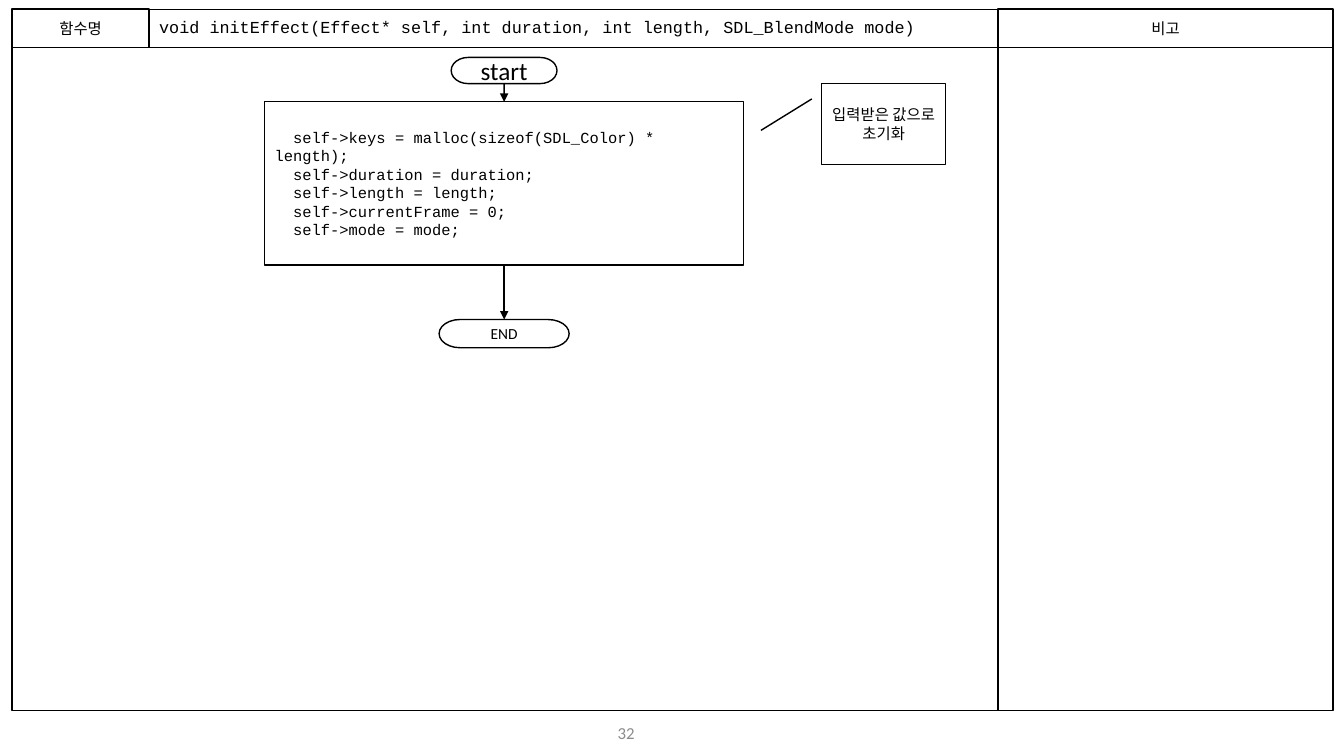
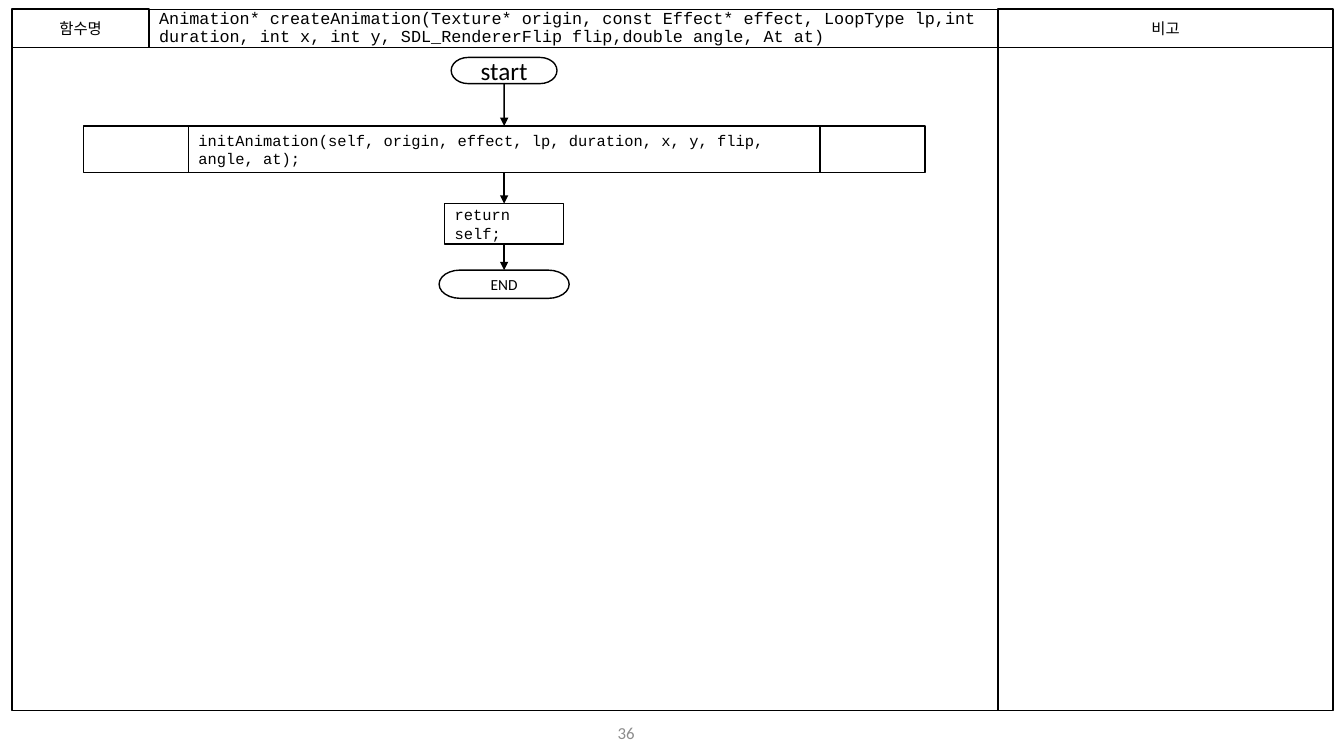
from pptx import Presentation
from pptx.dml.color import RGBColor
from pptx.enum.shapes import MSO_CONNECTOR, MSO_SHAPE
from pptx.enum.text import MSO_ANCHOR, PP_ALIGN
from pptx.oxml.ns import qn
from pptx.util import Inches, Pt
from lxml.etree import SubElement

BLACK = RGBColor(0x00, 0x00, 0x00)
WHITE = RGBColor(0xFF, 0xFF, 0xFF)
GREY = RGBColor(0x8C, 0x8C, 0x8C)
LABEL_FONT = "Calibri"
CODE_FONT = "Courier New"

FRAME_LEFT, HEADER_TOP, HEADER_HEIGHT, BODY_HEIGHT = 0.12, 0.09, 0.38, 6.58
NAME_WIDTH, TITLE_WIDTH, NOTE_WIDTH = 1.36, 8.42, 3.32
FLOW_AXIS = 5.0

STYLES = {
    "start": (MSO_SHAPE.FLOWCHART_TERMINATOR, LABEL_FONT, 18, PP_ALIGN.CENTER),
    "end": (MSO_SHAPE.FLOWCHART_TERMINATOR, LABEL_FONT, 11, PP_ALIGN.CENTER),
    "code": (MSO_SHAPE.RECTANGLE, CODE_FONT, 11, PP_ALIGN.LEFT),
    "call": (MSO_SHAPE.FLOWCHART_PREDEFINED_PROCESS, CODE_FONT, 11, PP_ALIGN.LEFT),
}

START = ("start", 0.57, 1.05, 0.26, ["start"])

PAGES = [
    {
        "title": "void initEffect(Effect* self, int duration, int length, SDL_BlendMode mode)",
        "number": "32",
        "steps": [
            START,
            ("code", 1.01, 4.75, 1.62, [
                "  self->keys = malloc(sizeof(SDL_Color) * length);",
                "  self->duration = duration;",
                "  self->length = length;",
                "  self->currentFrame = 0;",
                "  self->mode = mode;",
            ]),
            ("end", 3.17, 1.29, 0.28, ["END"]),
        ],
        "callouts": [
            ((8.15, 0.83, 1.23, 0.8), (0.19, -0.08, 0.58, -0.49), "입력받은 값으로 초기화"),
        ],
    },
    {
        "title": "Animation* createAnimation(Texture* origin, const Effect* effect, "
                 "LoopType lp,int duration, int x, int y, SDL_RendererFlip flip,"
                 "double angle, At at)",
        "number": "36",
        "steps": [
            START,
            ("call", 1.25, 8.35, 0.46, [
                "initAnimation(self, origin, effect, lp, duration, x, y, flip, angle, at);",
            ]),
            ("code", 2.02, 1.18, 0.4, ["return self;"]),
            ("end", 2.68, 1.29, 0.28, ["END"]),
        ],
        "callouts": [],
    },
]


def write(shape, lines, font=LABEL_FONT, size=11, align=PP_ALIGN.CENTER, color=BLACK):
    frame = shape.text_frame
    frame.word_wrap = True
    frame.vertical_anchor = MSO_ANCHOR.MIDDLE
    for index, line in enumerate(lines):
        para = frame.paragraphs[0] if index == 0 else frame.add_paragraph()
        para.text = line
        para.alignment = align
        para.font.name = font
        para.font.size = Pt(size)
        para.font.color.rgb = color


def add_box(page, place, kind=MSO_SHAPE.RECTANGLE, fill=None, weight=1):
    box = page.shapes.add_shape(kind, *map(Inches, place))
    box.shadow.inherit = False
    if fill is None:
        box.fill.background()
    else:
        box.fill.solid()
        box.fill.fore_color.rgb = fill
    box.line.color.rgb = BLACK
    box.line.width = Pt(weight)
    return box


def add_arrow(page, upper, lower):
    arrow = page.shapes.add_connector(MSO_CONNECTOR.STRAIGHT, 0, 0, 0, 0)
    arrow.begin_connect(upper, 2)
    arrow.end_connect(lower, 0)
    arrow.line.color.rgb = BLACK
    arrow.line.width = Pt(1)
    SubElement(arrow.line._get_or_add_ln(), qn("a:tailEnd"), type="triangle")
    SubElement(arrow._element.spPr, qn("a:effectLst"))


def add_frame(page, title, number):
    title_left = FRAME_LEFT + NAME_WIDTH
    note_left = title_left + TITLE_WIDTH
    body_top = HEADER_TOP + HEADER_HEIGHT

    title_box = add_box(page, (title_left, HEADER_TOP, TITLE_WIDTH, HEADER_HEIGHT), weight=0.75)
    write(title_box, [title], CODE_FONT, 12, PP_ALIGN.LEFT)
    title_box.text_frame.paragraphs[0].line_spacing = 0.9

    for left, width, label in [(FRAME_LEFT, NAME_WIDTH, "함수명"), (note_left, NOTE_WIDTH, "비고")]:
        write(add_box(page, (left, HEADER_TOP, width, HEADER_HEIGHT)), [label])
    for left, width in [(FRAME_LEFT, NAME_WIDTH + TITLE_WIDTH), (note_left, NOTE_WIDTH)]:
        add_box(page, (left, body_top, width, BODY_HEIGHT))

    number_box = page.shapes.add_textbox(*map(Inches, (4.71, 7.13, 3, 0.28)))
    write(number_box, [number], size=12, color=GREY)


def add_flow(page, steps):
    previous = None
    for style, top, width, height, lines in steps:
        kind, font, size, align = STYLES[style]
        box = add_box(page, (FLOW_AXIS - width / 2, top, width, height), kind, WHITE)
        write(box, lines, font, size, align)
        if previous is not None:
            add_arrow(page, previous, box)
        previous = box


def add_callout(page, place, pointer, text):
    callout = add_box(page, place, MSO_SHAPE.LINE_CALLOUT_1, WHITE)
    for index, value in enumerate(pointer):
        callout.adjustments[index] = value
    write(callout, [text])


def main():
    deck = Presentation()
    deck.slide_width = Inches(13.33)
    deck.slide_height = Inches(7.5)
    for content in PAGES:
        page = deck.slides.add_slide(deck.slide_layouts[6])
        add_frame(page, content["title"], content["number"])
        add_flow(page, content["steps"])
        for callout in content["callouts"]:
            add_callout(page, *callout)
    deck.save("out.pptx")


if __name__ == "__main__":
    main()
